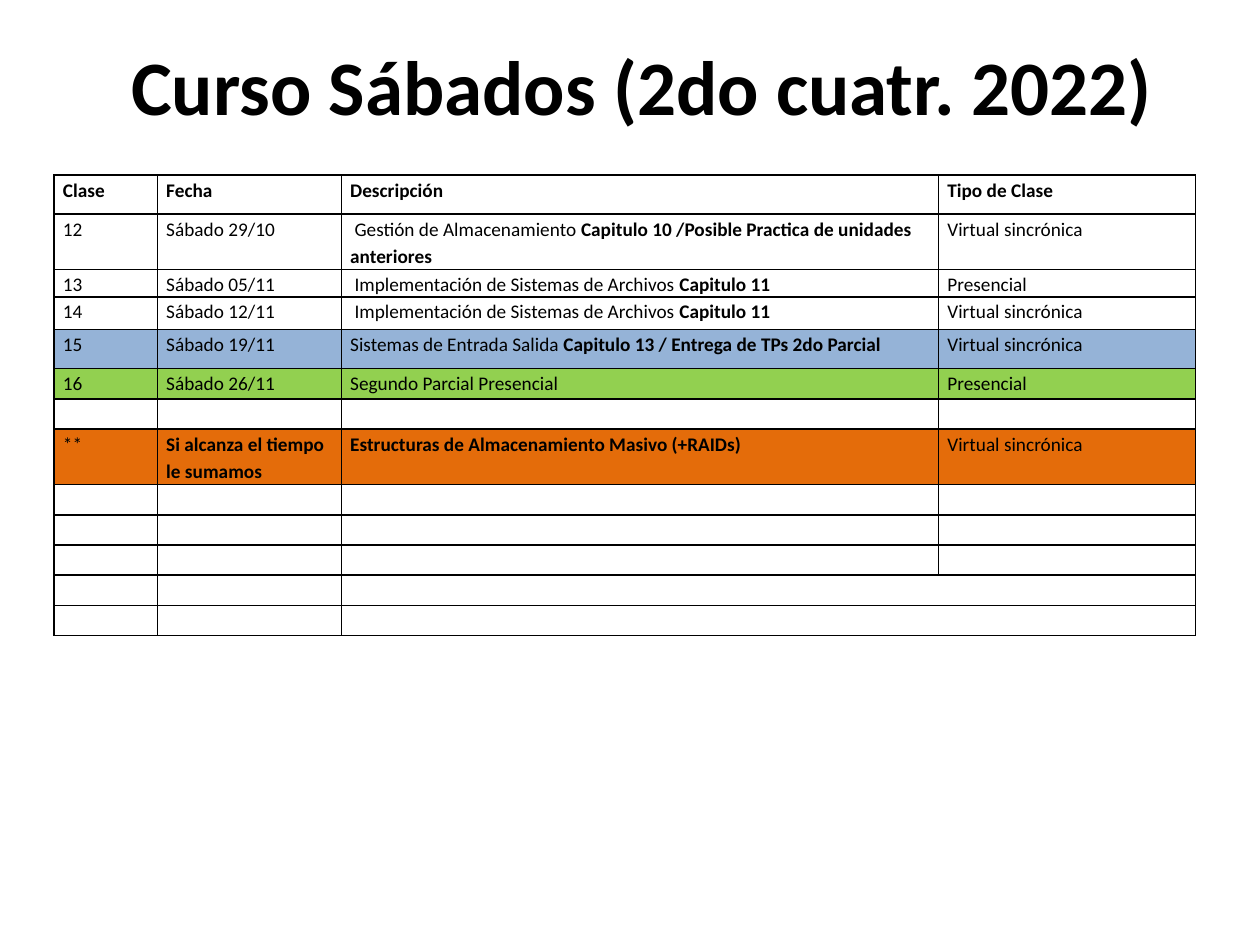
from lxml.etree import SubElement
from pptx import Presentation
from pptx.dml.color import RGBColor
from pptx.enum.text import MSO_ANCHOR, PP_ALIGN
from pptx.oxml.ns import qn
from pptx.util import Inches, Pt

BLACK, WHITE = "000000", "FFFFFF"
BLUE, GREEN, ORANGE = "95B3D7", "92D050", "E46C0A"
FONT = "Calibri"
BODY_SIZE = 11
COLUMN_WIDTHS = [0.82, 1.46, 4.74, 2.04]
EMPTY = ("", "", "", "")
VIRTUAL, ON_SITE = "Virtual sincrónica", "Presencial"

# Each class: row height, fill, cell texts. A cell is plain text or a (plain, bold) pair.
SCHEDULE = [
    (0.31, WHITE, [("", heading) for heading in ("Clase", "Fecha", "Descripción", "Tipo de Clase")]),
    (0.44, WHITE, ("12", "Sábado 29/10",
                   (" Gestión de Almacenamiento ",
                    "Capitulo 10 /Posible Practica de unidades anteriores"), VIRTUAL)),
    (0.21, WHITE, ("13", "Sábado 05/11",
                   (" Implementación de Sistemas de Archivos ", "Capitulo 11"), ON_SITE)),
    (0.26, WHITE, ("14", "Sábado 12/11",
                   (" Implementación de Sistemas de Archivos ", "Capitulo 11"), VIRTUAL)),
    (0.31, BLUE, ("15", "Sábado 19/11",
                  ("Sistemas de Entrada Salida ", "Capitulo 13 / Entrega de TPs 2do Parcial"), VIRTUAL)),
    (0.24, GREEN, ("16", "Sábado 26/11", "Segundo Parcial Presencial", ON_SITE)),
    (0.24, WHITE, EMPTY),
    (0.44, ORANGE, ("**", ("", "Si alcanza el tiempo le sumamos"),
                    ("", "Estructuras de Almacenamiento Masivo (+RAIDs)"), VIRTUAL)),
] + [(0.24, WHITE, EMPTY)] * 5
MERGED_ROWS = (11, 12)


def color(hex_code):
    return RGBColor.from_string(hex_code)


def set_attributes(target, values):
    for name, value in values.items():
        setattr(target, name, value)


def format_font(font, size, bold):
    set_attributes(font, {"name": FONT, "size": Pt(size), "bold": bold})
    font.color.rgb = color(BLACK)


def add_title(slide, text):
    title = slide.shapes.title
    set_attributes(title, {"left": Inches(0.35), "top": Inches(0.05),
                           "width": Inches(9.5), "height": Inches(1.25)})
    title.text_frame.vertical_anchor = MSO_ANCHOR.MIDDLE
    paragraph = title.text_frame.paragraphs[0]
    paragraph.alignment = PP_ALIGN.CENTER
    run = paragraph.add_run()
    run.text = text
    format_font(run.font, 44, True)


def draw_borders(cell):
    """Put a thin black line on all four sides; must come before the fill."""
    properties = cell._tc.get_or_add_tcPr()
    for side in ("lnL", "lnR", "lnT", "lnB"):
        line = SubElement(properties, qn(f"a:{side}"), w=str(Pt(1)))
        solid = SubElement(line, qn("a:solidFill"))
        SubElement(solid, qn("a:srgbClr"), val=BLACK)


def write_cell(cell, content):
    paragraph = cell.text_frame.paragraphs[0]
    plain, bold = content if isinstance(content, tuple) else (content, "")
    for text, is_bold in ((plain, False), (bold, True)):
        if text:
            run = paragraph.add_run()
            run.text = text
            format_font(run.font, BODY_SIZE, is_bold)
    if content:
        paragraph.line_spacing = 1.15
    else:
        # The end mark's size keeps an empty row low.
        SubElement(paragraph._p, qn("a:endParaRPr"), sz=str(BODY_SIZE * 100))


def add_schedule(slide):
    heights = [height for height, _, _ in SCHEDULE]
    table = slide.shapes.add_table(
        len(SCHEDULE), len(COLUMN_WIDTHS), Inches(0.43), Inches(1.39),
        Inches(sum(COLUMN_WIDTHS)), Inches(sum(heights))).table
    set_attributes(table, {"first_row": False, "horz_banding": False})
    for column, width in zip(table.columns, COLUMN_WIDTHS):
        column.width = Inches(width)
    for row, (height, fill, contents) in zip(table.rows, SCHEDULE):
        row.height = Inches(height)
        for cell, content in zip(row.cells, contents):
            set_attributes(cell, {"margin_left": Inches(0.07), "margin_right": Inches(0.07),
                                  "margin_top": 0, "margin_bottom": 0})
            draw_borders(cell)
            cell.fill.solid()
            cell.fill.fore_color.rgb = color(fill)
            write_cell(cell, content)
    for index in MERGED_ROWS:
        table.cell(index, 2).merge(table.cell(index, 3))


def main():
    presentation = Presentation()
    set_attributes(presentation, {"slide_width": Inches(10), "slide_height": Inches(7.5)})
    title_only = presentation.slide_layouts[5]
    slide = presentation.slides.add_slide(title_only)
    add_title(slide, "Curso Sábados (2do cuatr. 2022)")
    add_schedule(slide)
    presentation.save("out.pptx")


if __name__ == "__main__":
    main()
